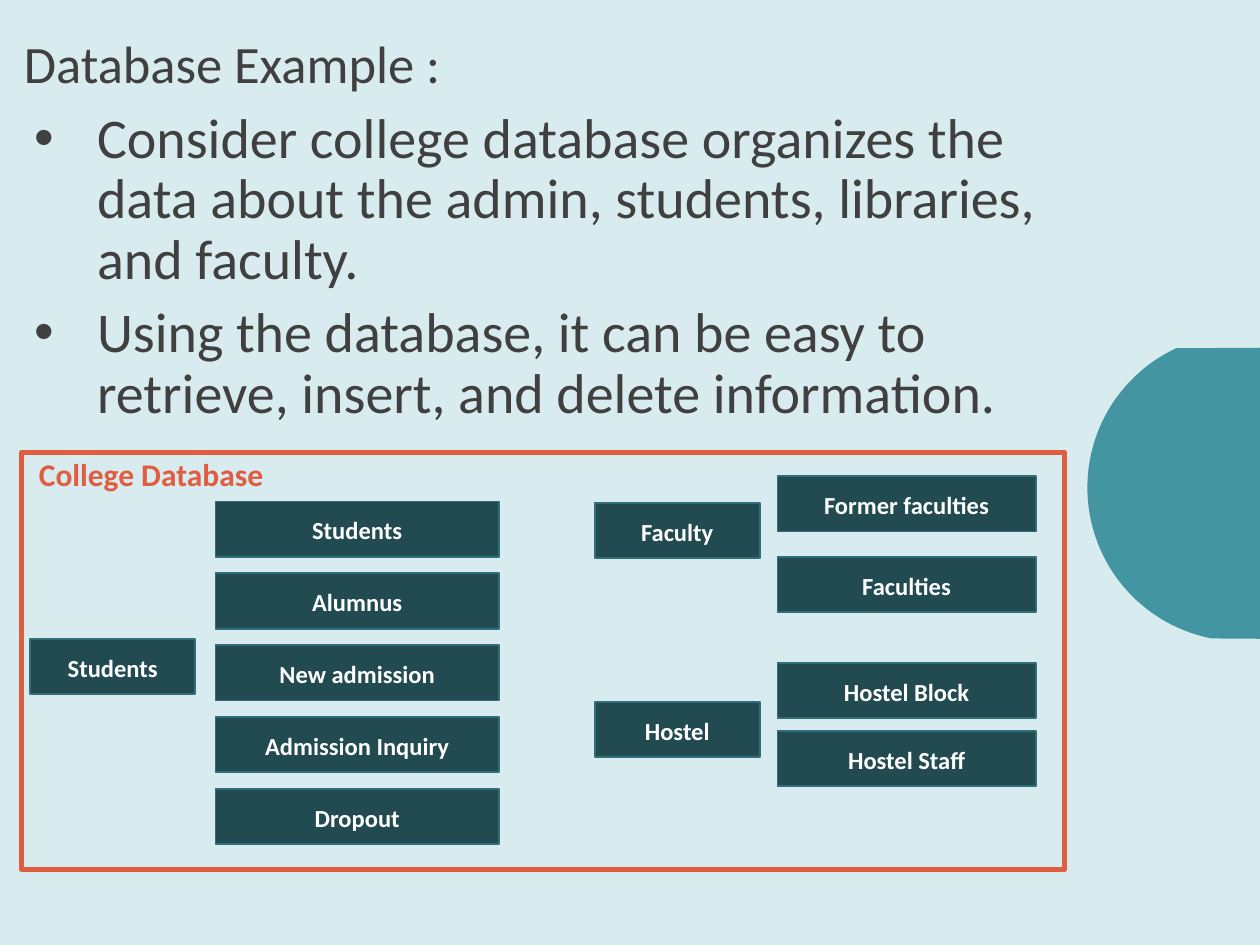
from math import cos, radians, sin

from lxml import etree
from pptx import Presentation
from pptx.dml.color import RGBColor
from pptx.enum.shapes import MSO_SHAPE
from pptx.enum.text import MSO_ANCHOR, MSO_AUTO_SIZE, PP_ALIGN
from pptx.oxml.ns import qn
from pptx.util import Inches, Pt

RECTANGLE = MSO_SHAPE.RECTANGLE
TOP, MIDDLE = MSO_ANCHOR.TOP, MSO_ANCHOR.MIDDLE
LEFT, CENTER = PP_ALIGN.LEFT, PP_ALIGN.CENTER
NO_AUTOFIT = MSO_AUTO_SIZE.NONE

FONT = "Calibri"
COLORS = {
    "background": "D8EBEE",
    "text": "404040",
    "accent": "4495A2",
    "box": "224A51",
    "box_line": "326E78",
    "frame": "DF5D40",
    "white": "FFFFFF",
}
BOX_HEIGHT = 0.44

BULLETS = [
    "Consider college database organizes the data about the admin, students, "
    "libraries, and faculty.",
    "Using the database, it can be easy to retrieve, insert, and delete information.",
]
# Labels, then left and top within the frame, width, and step between boxes.
COLUMNS = [
    (["Students"], 0.07, 1.48, 1.31, 0),
    (["Students", "Alumnus", "New admission", "Admission Inquiry", "Dropout"],
     1.54, 0.39, 2.25, 0.57),
    (["Faculty", "Hostel"], 4.55, 0.4, 1.31, 1.58),
    (["Former faculties", "Faculties"], 6.0, 0.19, 2.05, 0.64),
    (["Hostel Block", "Hostel Staff"], 6.0, 1.67, 2.05, 0.54),
]


def color(name):
    return RGBColor.from_string(COLORS[name])


def place(shape, box):
    shape.left, shape.top, shape.width, shape.height = map(Inches, box)


def format_paragraph(paragraph, size, color_name, bold=False, align=LEFT):
    paragraph.alignment = align
    for run in paragraph.runs:
        run.font.name = FONT
        run.font.size = Pt(size)
        run.font.bold = bold
        run.font.color.rgb = color(color_name)


def add_bullet(paragraph, indent):
    properties = paragraph._p.get_or_add_pPr()
    properties.set("marL", str(Inches(indent)))
    properties.set("indent", str(-Inches(indent)))
    etree.SubElement(properties, qn("a:buFont")).set("typeface", "Arial")
    etree.SubElement(properties, qn("a:buChar")).set("char", "•")


def fill_placeholder(placeholder, box, lines, size):
    place(placeholder, box)
    text_frame = placeholder.text_frame
    text_frame.text = "\n".join(lines)
    text_frame.vertical_anchor = TOP
    text_frame.auto_size = NO_AUTOFIT
    for paragraph in text_frame.paragraphs:
        paragraph.line_spacing = 0.9
        format_paragraph(paragraph, size, "text")


def add_title(slide, box):
    fill_placeholder(slide.shapes.title, box, ["Database Example :"], 30)


def add_bullet_list(slide, box):
    body = slide.placeholders[1]
    fill_placeholder(body, box, BULLETS, 32)
    for paragraph in body.text_frame.paragraphs:
        paragraph.space_before = Pt(7.5)
        add_bullet(paragraph, 0.5)


def add_side_circle(slide, box):
    """Draw a circle cut off by the top, right and bottom edges of the box."""
    left, top, width, height = box
    radius = 1.22
    center_x, center_y = left + radius, top + 1.11
    arc = [
        (center_x + radius * cos(radians(angle)),
         center_y - radius * sin(radians(angle)))
        for angle in range(115, 260, 2)
    ]
    points = arc + [(left + width, top + height), (left + width, top)]
    points = [(Inches(x), Inches(y)) for x, y in points]
    builder = slide.shapes.build_freeform(*points[0], scale=1.0)
    builder.add_line_segments(points[1:], close=True)
    circle = builder.convert_to_shape()
    circle.shadow.inherit = False
    circle.fill.solid()
    circle.fill.fore_color.rgb = color("accent")
    circle.line.fill.background()


def add_rectangle(shapes, box, line_color, line_width):
    rectangle = shapes.add_shape(RECTANGLE, *map(Inches, box))
    rectangle.shadow.inherit = False
    rectangle.fill.background()
    rectangle.line.color.rgb = color(line_color)
    rectangle.line.width = Pt(line_width)
    return rectangle


def add_label_box(shapes, box, label):
    rectangle = add_rectangle(shapes, box, "box_line", 1)
    rectangle.fill.solid()
    rectangle.fill.fore_color.rgb = color("box")
    text_frame = rectangle.text_frame
    text_frame.text = label
    text_frame.vertical_anchor = MIDDLE
    paragraph = text_frame.paragraphs[0]
    paragraph.line_spacing = 1.07
    paragraph.space_after = Pt(8)
    format_paragraph(paragraph, 14, "white", bold=True, align=CENTER)


def add_college_diagram(slide, box):
    shapes = slide.shapes.add_group_shape().shapes
    left, top = box[:2]
    for labels, column_left, column_top, width, step in COLUMNS:
        for row, label in enumerate(labels):
            label_box = (left + column_left, top + column_top + row * step,
                         width, BOX_HEIGHT)
            add_label_box(shapes, label_box, label)
    add_rectangle(shapes, box, "frame", 3)

    heading = shapes.add_textbox(
        Inches(left + 0.04), Inches(top - 0.03), Inches(5.32), Inches(0.4))
    heading.text_frame.word_wrap = True
    heading.text_frame.text = "College Database"
    format_paragraph(heading.text_frame.paragraphs[0], 18, "frame", bold=True)


def main():
    presentation = Presentation()
    presentation.slide_width = Inches(10)
    presentation.slide_height = Inches(7.5)
    slide = presentation.slides.add_slide(presentation.slide_layouts[1])
    slide.background.fill.solid()
    slide.background.fill.fore_color.rgb = color("background")

    add_title(slide, (0.09, 0.25, 5.25, 0.75))
    add_side_circle(slide, (8.63, 2.76, 1.37, 2.31))
    add_bullet_list(slide, (0.17, 0.82, 8.49, 2.73))
    add_college_diagram(slide, (0.17, 3.59, 8.28, 3.31))
    presentation.save("out.pptx")


if __name__ == "__main__":
    main()
